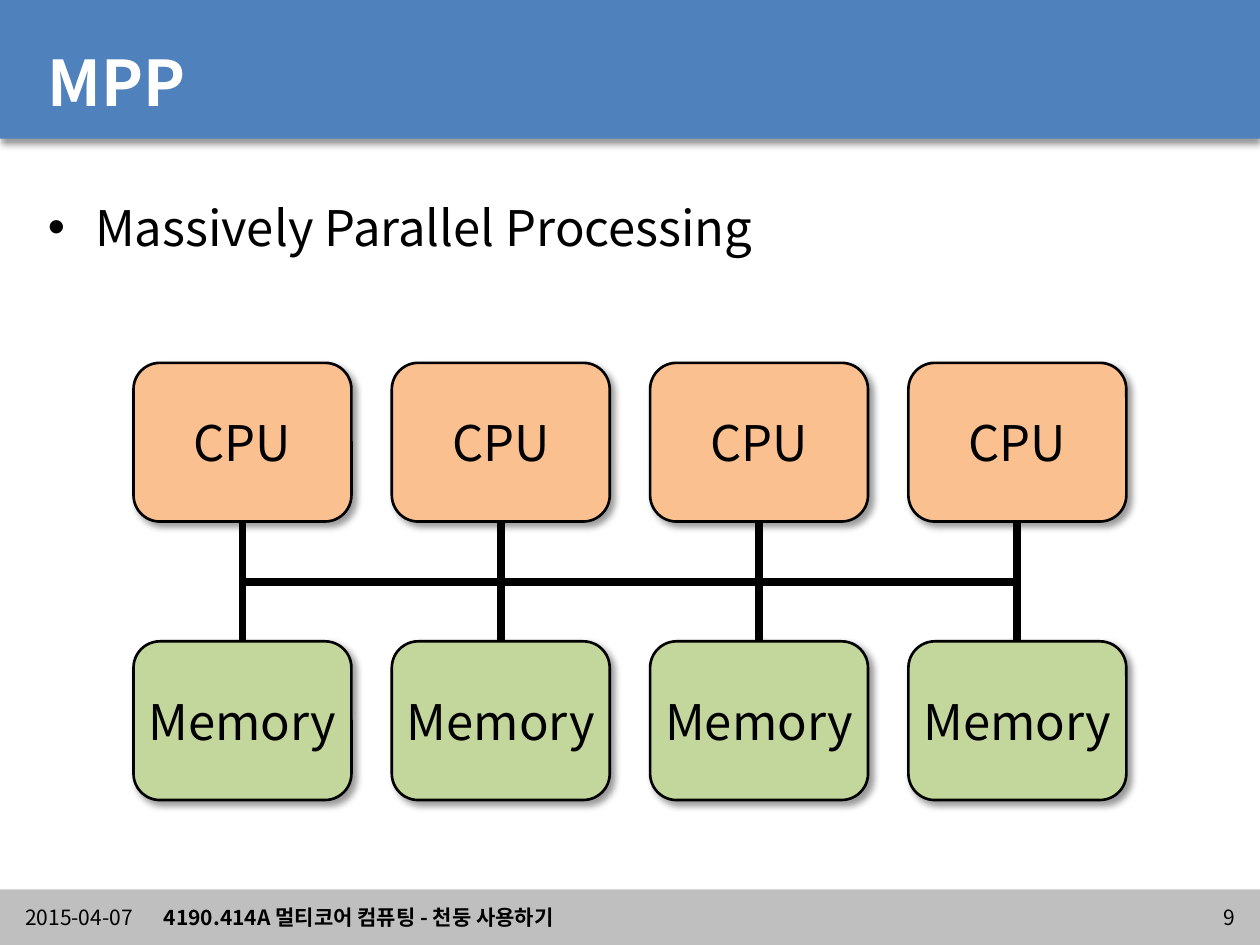
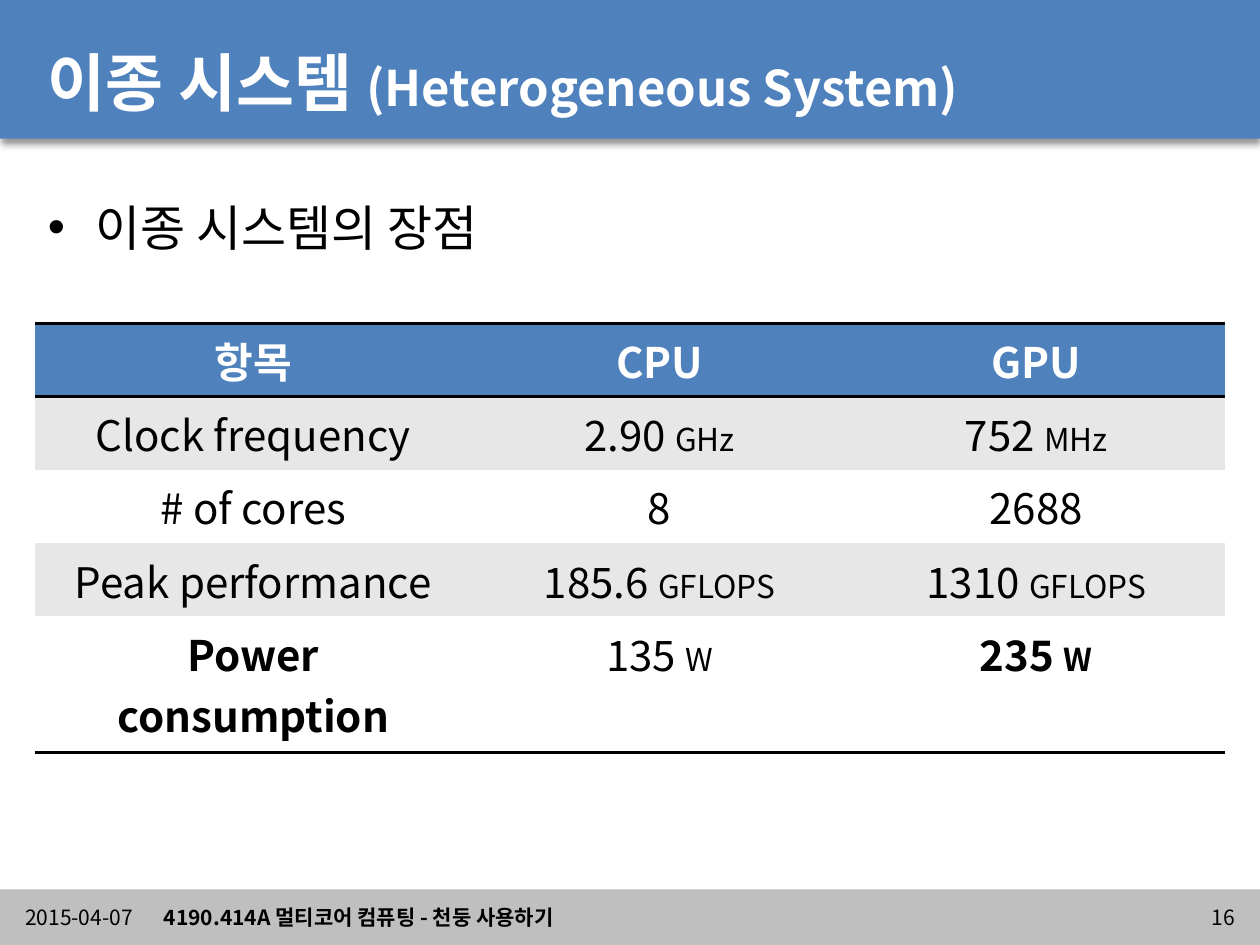
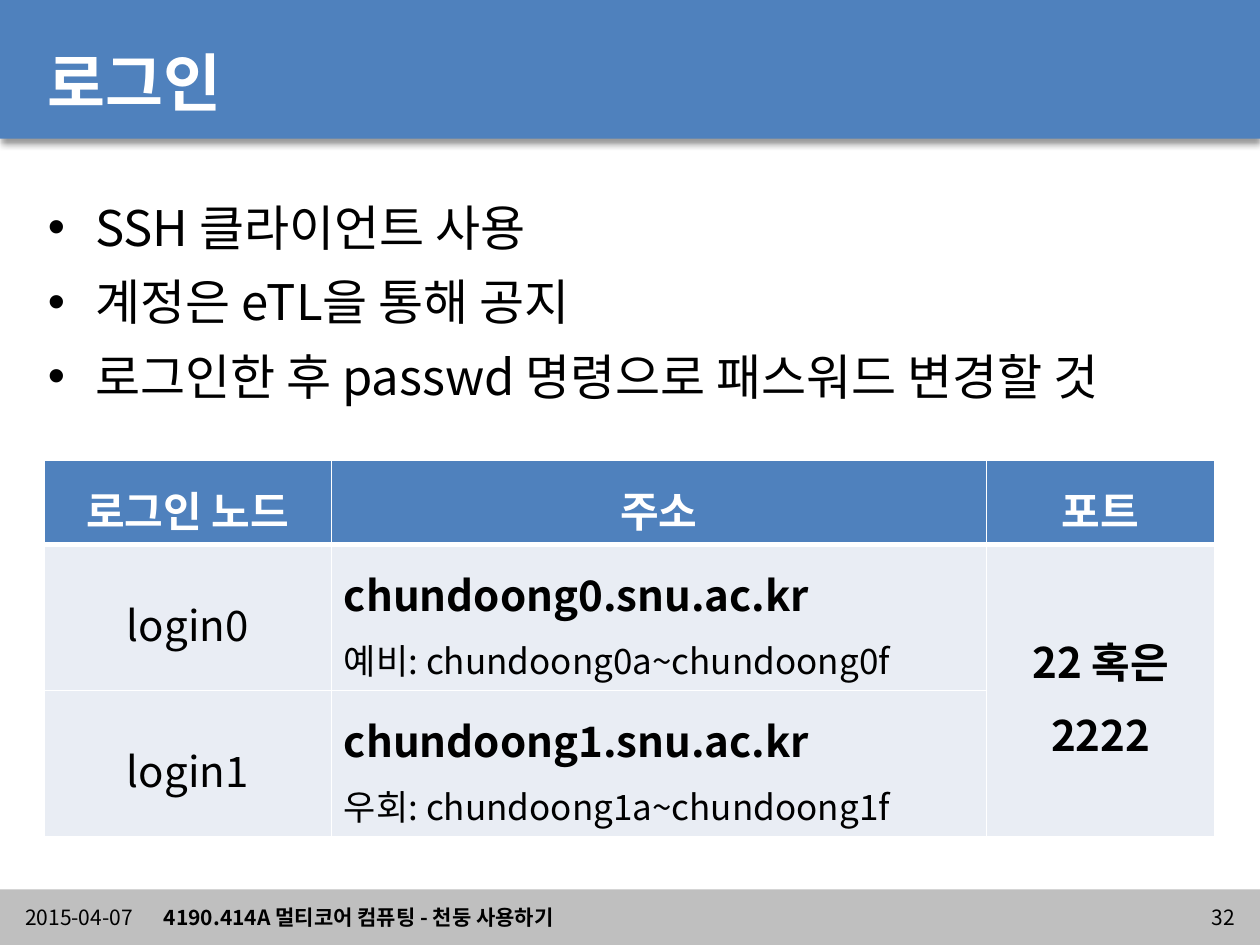
from lxml.etree import SubElement
from pptx import Presentation
from pptx.dml.color import RGBColor
from pptx.enum.shapes import MSO_CONNECTOR as Connector, MSO_SHAPE as Shape
from pptx.enum.text import MSO_ANCHOR as Anchor, MSO_AUTO_SIZE as AutoSize, PP_ALIGN as Align
from pptx.oxml.ns import qn
from pptx.util import Inches, Pt

FONT = "Noto Sans CJK KR"
BLACK = RGBColor(0x00, 0x00, 0x00)
WHITE = RGBColor(0xFF, 0xFF, 0xFF)
BLUE = RGBColor(0x4F, 0x81, 0xBD)
FOOTER_GREY = RGBColor(0xBF, 0xBF, 0xBF)
ROW_GREY = RGBColor(0xE7, 0xE7, 0xE7)
PALE_BLUE = RGBColor(0xE9, 0xED, 0xF4)
ORANGE = RGBColor(0xFA, 0xC0, 0x90)
GREEN = RGBColor(0xC3, 0xD6, 0x9B)
NO_STYLE = "{2D5ABB26-0587-4C30-8999-92F81FD0307C}"

SLIDES = [
    ("9", [("MPP", 36)], ["Massively Parallel Processing"]),
    ("16", [("이종 시스템 ", 36), ("(Heterogeneous System)", 28)], ["이종 시스템의 장점"]),
    ("32", [("로그인", 36)], ["SSH 클라이언트 사용", "계정은 eTL을 통해 공지",
                           "로그인한 후 passwd 명령으로 패스워드 변경할 것"]),
]


def write(para, text, size, color=BLACK, bold=False, align=Align.LEFT):
    para.alignment = align
    span = para.add_run()
    span.text = text
    for name, value in {"name": FONT, "size": Pt(size), "bold": bold}.items():
        setattr(span.font, name, value)
    span.font.color.rgb = color
    SubElement(span.font._element, qn("a:ea"), typeface=FONT)


def style_cell(cell, fill, edges):
    """Fill a cell and draw its edges, given as {side: (colour, points)} in L, R, T, B order."""
    cell.fill.solid()
    cell.fill.fore_color.rgb = fill
    properties = cell._tc.get_or_add_tcPr()
    for position, (side, (color, width)) in enumerate(edges.items()):
        line = SubElement(properties, qn(f"a:ln{side}"), w=str(Pt(width)))
        SubElement(SubElement(line, qn("a:solidFill")), qn("a:srgbClr"), val=str(color))
        properties.insert(position, line)


deck = Presentation()
deck.slide_width, deck.slide_height = Inches(10), Inches(7.5)
pages = []
shadowed = []

# Titles, lists and footers
for number, title_spans, items in SLIDES:
    page = deck.slides.add_slide(deck.slide_layouts[1])
    pages.append(page)

    title, body = page.shapes.title, page.placeholders[1]
    for holder, top, height in [(title, 0.29, 0.71), (body, 1.47, 0.63 * len(items))]:
        holder.left, holder.top = Inches(0.28), Inches(top)
        holder.width, holder.height = Inches(9.45), Inches(height)
        holder.text_frame.auto_size = AutoSize.NONE
    for text, size in title_spans:
        write(title.text_frame.paragraphs[0], text, size, WHITE, True)
    for index, item in enumerate(items):
        para = body.text_frame.add_paragraph() if index else body.text_frame.paragraphs[0]
        para.line_spacing = 1.1
        para.space_before = Pt(5.6 if index else 0)
        write(para, item, 28)

    for left, width, text, bold, align in [
        (0.2, 1.1, "2015-04-07", False, Align.LEFT),
        (1.3, 7.8, "4190.414A 멀티코어 컴퓨팅 - 천둥 사용하기", True, Align.LEFT),
        (9.09, 0.71, number, False, Align.RIGHT),
    ]:
        box = page.shapes.add_textbox(Inches(left), Inches(7.16), Inches(width), Inches(0.24))
        frame = box.text_frame
        frame.margin_left = frame.margin_right = frame.margin_top = frame.margin_bottom = 0
        frame.word_wrap, frame.vertical_anchor = True, Anchor.MIDDLE
        write(frame.paragraphs[0], text, 12, bold=bold, align=align)

mpp, heterogeneous, login = pages

# Bands, moved to the back of the slide master
for top, height, color in [(0, 1.1, BLUE), (7.06, 0.44, FOOTER_GREY)]:
    band = mpp.shapes.add_shape(Shape.RECTANGLE, 0, Inches(top), Inches(10), Inches(height))
    band.fill.solid()
    band.fill.fore_color.rgb = color
    band.line.fill.background()
    band.shadow.inherit = False
    if color == BLUE:
        shadowed.append((band, 90))
    deck.slide_master.shapes._spTree.insert(2, band._element)

# MPP: a row of CPUs above a row of memories
rows = []
for label, top, color, side_margin in [("CPU", 2.88, ORANGE, 0.1), ("Memory", 5.09, GREEN, 0.04)]:
    row = []
    for column in range(4):
        unit = mpp.shapes.add_shape(Shape.ROUNDED_RECTANGLE, Inches(1.06 + 2.05 * column),
                                    Inches(top), Inches(1.73), Inches(1.26))
        unit.fill.solid()
        unit.fill.fore_color.rgb = color
        unit.line.color.rgb, unit.line.width = BLACK, Pt(1.5)
        unit.shadow.inherit = False
        shadowed.append((unit, 45))
        frame = unit.text_frame
        frame.margin_left = frame.margin_right = Inches(side_margin)
        frame.vertical_anchor = Anchor.MIDDLE
        write(frame.paragraphs[0], label, 28, align=Align.CENTER)
        row.append(unit)
    rows.append(row)

# MPP: links from CPU to memory, and the bus across them
links = []
for cpu, memory in zip(*rows):
    link = mpp.shapes.add_connector(Connector.STRAIGHT, 0, 0, 0, 0)
    link.begin_connect(cpu, 2)
    link.end_connect(memory, 0)
    links.append(link)
bus_y = Inches(4.62)
bus = mpp.shapes.add_connector(Connector.STRAIGHT, links[0].begin_x, bus_y, links[-1].begin_x, bus_y)
for line in [*links, bus]:
    line.line.color.rgb, line.line.width = BLACK, Pt(4.5)
    SubElement(line._element.spPr, qn("a:effectLst"))

# Shadows of the title band and the units
for shape, degrees in shadowed:
    effects = shape._element.spPr.find(qn("a:effectLst"))
    shadow = SubElement(effects, qn("a:outerShdw"), blurRad=str(Pt(4)), dist=str(Pt(3)),
                        dir=str(degrees * 60000), algn="t", rotWithShape="0")
    tint = SubElement(shadow, qn("a:srgbClr"), val=str(BLACK))
    SubElement(tint, qn("a:alpha"), val="40000")

# Both tables: frame, column widths and row heights
tables = []
for page, left, top, widths, heights in [
    (heterogeneous, 0.28, 2.57, [3.46, 2.99, 2.99], [0.58] * 4 + [1.08]),
    (login, 0.35, 3.65, [2.28, 5.2, 1.81], [0.67, 1.16, 1.16]),
]:
    frame = page.shapes.add_table(len(heights), len(widths), Inches(left), Inches(top),
                                  Inches(sum(widths)), Inches(sum(heights)))
    table = frame.table
    table._tbl.tblPr.find(qn("a:tableStyleId")).text = NO_STYLE
    for column, width in zip(table.columns, widths):
        column.width = Inches(width)
    for row, height in zip(table.rows, heights):
        row.height = Inches(height)
    tables.append(table)
comparison, nodes = tables

# Comparison of CPU and GPU: each cell is a value and its unit
COMPARISON = [
    [("항목", ""), ("CPU", ""), ("GPU", "")],
    [("Clock frequency", ""), ("2.90 ", "GHz"), ("752 ", "MHz")],
    [("# of cores", ""), ("8", ""), ("2688", "")],
    [("Peak performance", ""), ("185.6 ", "GFLOPS"), ("1310 ", "GFLOPS")],
    [("Power consumption", ""), ("135 ", "W"), ("235 ", "W")],
]
RULE = (BLACK, 2)
row_edges = {0: {"T": RULE, "B": RULE}, 4: {"B": RULE}}
for r, values in enumerate(COMPARISON):
    fill = BLUE if r == 0 else ROW_GREY if r % 2 else WHITE
    for c, (value, unit) in enumerate(values):
        cell = comparison.cell(r, c)
        style_cell(cell, fill, row_edges.get(r, {}))
        color = WHITE if r == 0 else BLACK
        bold = r == 0 or (r == 4 and c != 1)
        para = cell.text_frame.paragraphs[0]
        write(para, value, 24, color, bold, Align.CENTER)
        if unit:
            write(para, unit, 18, color, bold, Align.CENTER)

# Login nodes: each cell is a list of (text, size, bold) lines
NODES = [
    [[("로그인 노드", 24, True)], [("주소", 24, True)], [("포트", 24, True)]],
    [[("login0", 24, False)],
     [("chundoong0.snu.ac.kr", 24, True), ("예비: chundoong0a~chundoong0f", 20, False)],
     [("22 혹은", 24, True), ("2222", 24, True)]],
    [[("login1", 24, False)],
     [("chundoong1.snu.ac.kr", 24, True), ("우회: chundoong1a~chundoong1f", 20, False)],
     []],
]
nodes.cell(1, 2).merge(nodes.cell(2, 2))
for r, values in enumerate(NODES):
    for c, lines in enumerate(values):
        cell = nodes.cell(r, c)
        edges = {side: (WHITE, 1) for side in "LRTB"}
        if r == 0:
            edges["B"] = (WHITE, 3)
        elif r == 1:
            edges["T"] = (WHITE, 3)
        style_cell(cell, PALE_BLUE if r else BLUE, edges)
        cell.vertical_anchor = Anchor.MIDDLE if r else Anchor.TOP
        align = Align.LEFT if r and c == 1 else Align.CENTER
        for index, (text, size, bold) in enumerate(lines):
            para = cell.text_frame.add_paragraph() if index else cell.text_frame.paragraphs[0]
            para.line_spacing = 1.2
            write(para, text, size, BLACK if r else WHITE, bold, align)

deck.save("out.pptx")
